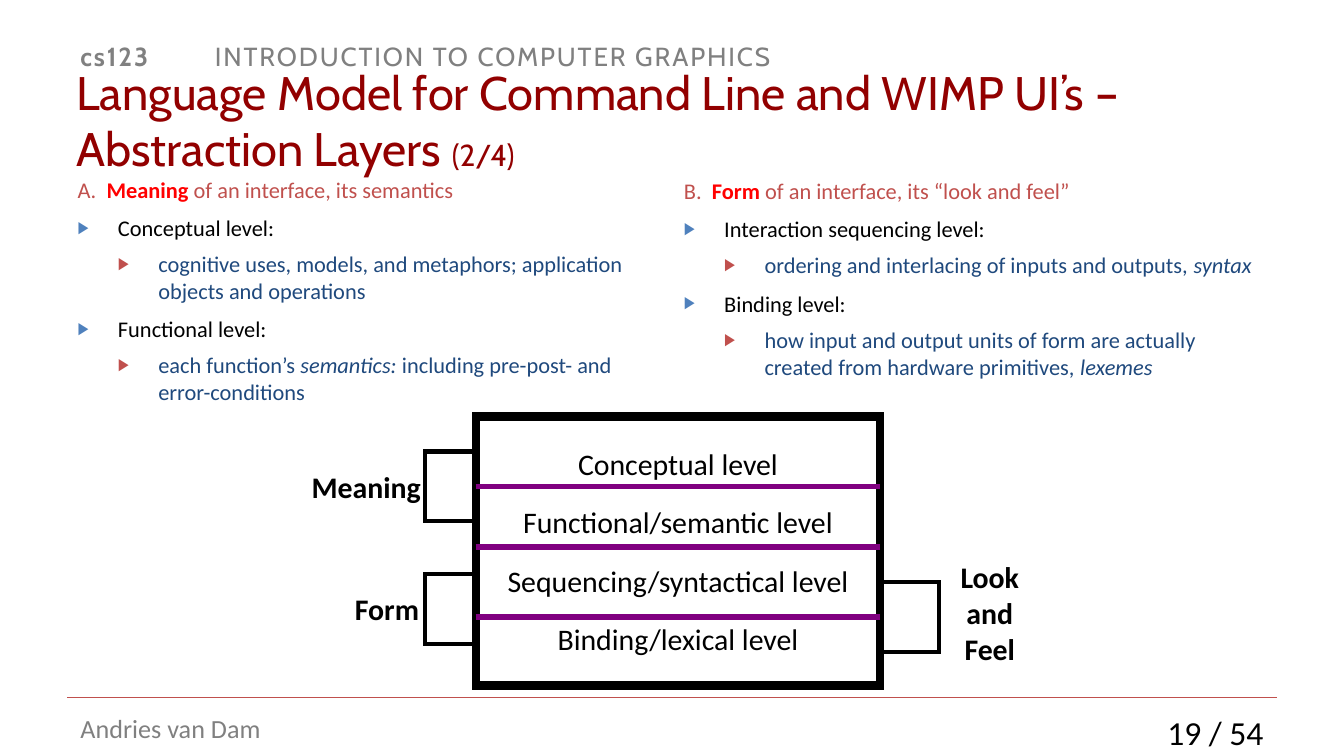
from pptx import Presentation
from pptx import util as u
from pptx.dml import color
from pptx.enum import shapes, text
from pptx.oxml import ns
from lxml import etree

PX = 9144  # EMU in one px, 100 px to the inch
BLACK, GREY, RED, BLUE = "000000", "808080", "C0504D", "1F497D"
LEFT, CENTER, RIGHT = (text.PP_ALIGN.LEFT, text.PP_ALIGN.CENTER,
                       text.PP_ALIGN.RIGHT)
TOP, MIDDLE = text.MSO_ANCHOR.TOP, text.MSO_ANCHOR.MIDDLE
LABEL = dict(size=16, name="Calibri", hue=BLACK)
LIST = dict(size=12, name="Calibri")
# Indent level: left margin in px, space before in pt, bullet colour, text colour
LEVELS = {0: (30, 6, None, RED), 1: (30, 6, "4F81BD", BLACK),
          2: (60, 5, RED, BLUE)}


def rgb(value):
    return color.RGBColor.from_string(value)


def lengths(*values):
    return [u.Emu(value * PX) for value in values]


def add_span(para, words, size, name, hue, **style):
    span = para.add_run()
    span.text = words
    values = dict(size=u.Pt(size), name=name, **style)
    for key, value in values.items():
        setattr(span.font, key, value)
    span.font.color.rgb = rgb(hue)


def set_frame(box, anchor=TOP, wrap=True, inset=(10, 5)):
    frame = box.text_frame
    side, edge = lengths(*inset)
    values = dict(word_wrap=wrap, vertical_anchor=anchor, margin_left=side,
                  margin_right=side, margin_top=edge, margin_bottom=edge)
    for key, value in values.items():
        setattr(frame, key, value)
    return frame


def add_paras(frame, paras, align=LEFT, before=0):
    """Each paragraph is a list of (words, format) pairs."""
    for index, spans in enumerate(paras):
        para = frame.add_paragraph() if index else frame.paragraphs[0]
        para.alignment = align
        para.space_before = u.Pt(before)
        for words, style in spans:
            add_span(para, words, **style)


def add_text(page, place, paras, align=LEFT, **frame_values):
    box = page.shapes.add_textbox(*lengths(*place))
    add_paras(set_frame(box, **frame_values), paras, align)
    return box


def add_label(page, place, *lines):
    paras = [[(line, dict(LABEL, bold=True))] for line in lines]
    add_text(page, place, paras, CENTER, anchor=MIDDLE, wrap=False,
             inset=(0, 4))


def add_frame(page, place, weight):
    box = page.shapes.add_shape(shapes.MSO_SHAPE.RECTANGLE, *lengths(*place))
    box.shadow.inherit = False
    box.fill.background()
    box.line.color.rgb = rgb(BLACK)
    box.line.width = u.Pt(weight)
    # Square corners
    outline = box._element.spPr.find(ns.qn("a:ln"))
    etree.SubElement(outline, ns.qn("a:miter"), lim="800000")
    return box


def add_rule(page, left, right, y, hue, weight):
    rule = page.shapes.add_connector(shapes.MSO_CONNECTOR.STRAIGHT,
                                     *lengths(left, y, right, y))
    rule.line.color.rgb = rgb(hue)
    rule.line.width = u.Pt(weight)
    etree.SubElement(rule._element.spPr, ns.qn("a:effectLst"))


def set_level(para, level):
    margin, before, bullet, _ = LEVELS[level]
    para.space_before = u.Pt(before)
    props = para._p.get_or_add_pPr()
    props.set("marL", str(margin * PX))
    props.set("indent", str(-30 * PX))
    if bullet:
        hue = etree.SubElement(props, ns.qn("a:buClr"))
        etree.SubElement(hue, ns.qn("a:srgbClr"), val=bullet)
        etree.SubElement(props, ns.qn("a:buSzPct"), val="76000")
        etree.SubElement(props, ns.qn("a:buFont"), typeface="Calibri")
        etree.SubElement(props, ns.qn("a:buChar"), char="▶")


def add_outline(page, place, items):
    """Each item is a level followed by (words, format changes) pairs."""
    paras = [[(words, {**LIST, "hue": LEVELS[level][3], **changes})
              for words, changes in spans] for level, *spans in items]
    box = add_text(page, place, paras)
    for para, (level, *_) in zip(box.text_frame.paragraphs, items):
        set_level(para, level)


def add_header_and_footer(page):
    header = dict(size=14, name="Cabin", hue=GREY)
    box = add_text(page, (50, 25, 900, 25), [[
        ("cs123 \t", dict(header, bold=True)),
        ("INTRODUCTION TO COMPUTER GRAPHICS", header)]])
    for span in box.text_frame.paragraphs[0].runs:
        span._r.get_or_add_rPr().set("spc", "100")
    add_text(page, (50, 525, 192, 34),
             [[("Andries van Dam", dict(LABEL, size=14, hue=GREY))]])
    add_rule(page, 50, 950, 519, RED, 0.75)
    add_text(page, (817, 525, 133, 40),
             [[("19 / 54", dict(LABEL, size=18))]], RIGHT)


def add_title(page):
    style = dict(size=25.2, name="Cabin", hue="920000")
    add_text(page, (47, 64, 900, 50), [[
        ("Language Model for Command Line and WIMP UI’s – "
         "Abstraction Layers ", style),
        ("(2/4)", dict(style, size=16.2))]], anchor=MIDDLE)


def add_outlines(page):
    strong, italic = dict(hue="FF0000", bold=True), dict(italic=True)
    add_outline(page, (48, 126, 446, 394), [
        (0, ("A.  ", {}), ("Meaning", strong),
         (" of an interface, its semantics", {})),
        (1, ("Conceptual level:", {})),
        (2, ("cognitive uses, models, and metaphors; application objects "
             "and operations", {})),
        (1, ("Functional level:", {})),
        (2, ("each function’s ", {}), ("semantics:", italic),
         (" including pre-post- and error-conditions", {}))])
    add_outline(page, (499, 127, 451, 162), [
        (0, ("B.  ", {}), ("Form", strong),
         (" of an interface, its “look and feel”", {})),
        (1, ("Interaction sequencing level:", {})),
        (2, ("ordering and interlacing of inputs and outputs, ", {}),
         ("syntax", italic)),
        (1, ("Binding level:", {})),
        (2, ("how input and output units of form are actually created from "
             "hardware primitives, ", {}), ("lexemes", italic))])


def add_layer_diagram(page):
    left, right = 354, 655
    stack = add_frame(page, (left, 310, right - left, 200), 4.5)
    levels = ("Conceptual", "Functional/semantic", "Sequencing/syntactical",
              "Binding/lexical")
    add_paras(set_frame(stack, MIDDLE, False, (9, 4)),
              [[(f"{level} level", LABEL)] for level in levels], CENTER, 12)

    # Brackets beside the stack
    for x, y, width in ((right, 433, 44), (316, 427, 38), (316, 336, 38)):
        add_frame(page, (x, y, width, 52), 2.25)
    add_label(page, (705, 414, 63, 84), "Look", "and", "Feel")
    add_label(page, (230, 336, 85, 52), "Meaning")
    add_label(page, (260, 433, 56, 39), "Form")

    # Dividers between the levels
    for y in (362, 407, 459):
        add_rule(page, left, right, y, "800080", 3)


def main():
    deck = Presentation()
    deck.slide_width = u.Inches(10)
    deck.slide_height = deck.slide_width * 9 // 16
    page = deck.slides.add_slide(deck.slide_layouts[6])
    add_header_and_footer(page)
    add_outlines(page)
    add_title(page)
    add_layer_diagram(page)
    deck.save("out.pptx")


if __name__ == "__main__":
    main()
